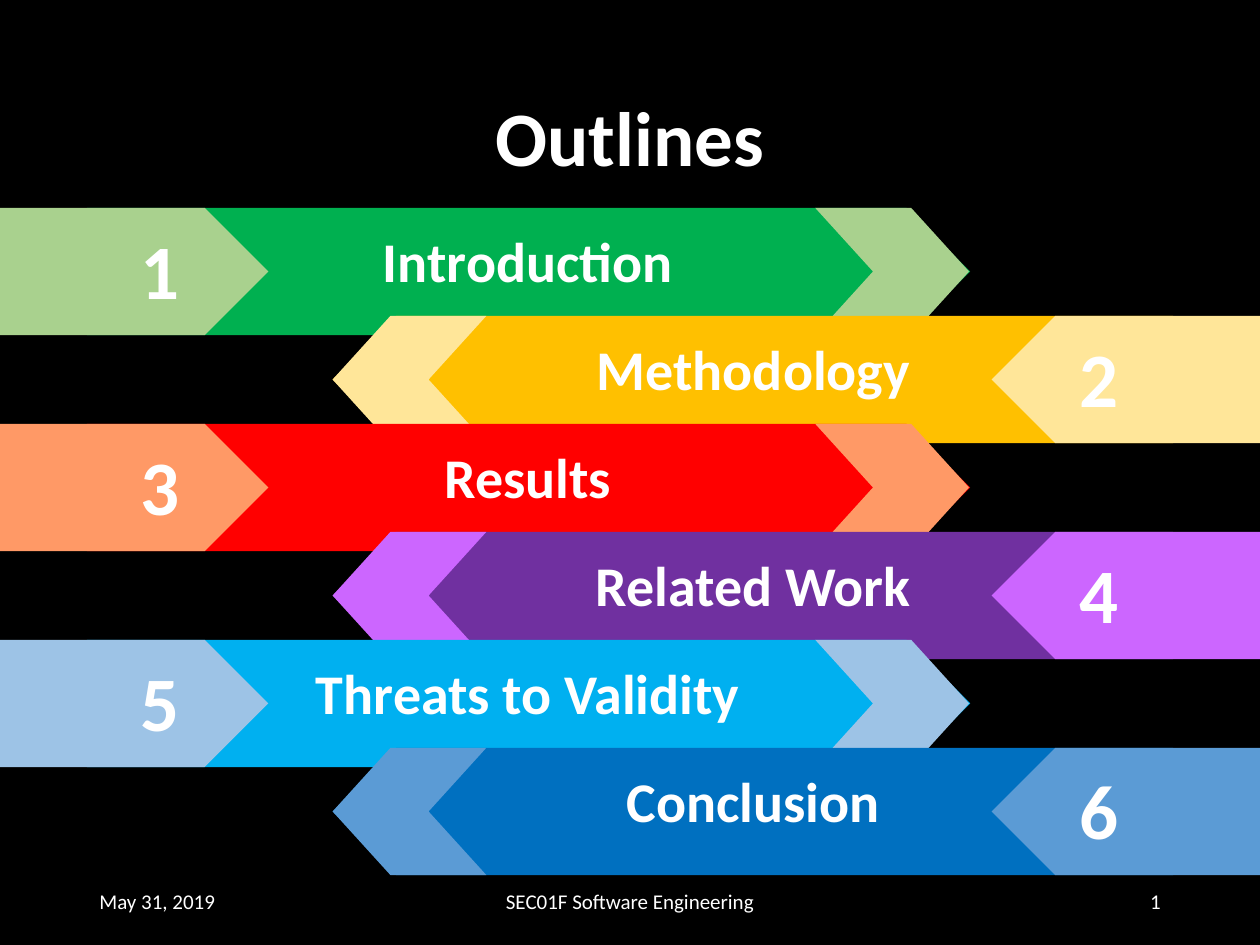
from dataclasses import dataclass

from pptx import Presentation
from pptx.dml.color import RGBColor
from pptx.enum.shapes import MSO_SHAPE
from pptx.enum.text import MSO_ANCHOR, MSO_AUTO_SIZE, PP_ALIGN
from pptx.util import Inches, Pt


@dataclass(frozen=True)
class Theme:
    font: str = "Calibri"
    background: str = "000000"
    text: str = "FFFFFF"
    heading: int = 44
    label: int = 32
    footer: int = 12


theme = Theme()

# Label, band colour, accent colour
sections = [
    ("Introduction", "00B050", "A9D18E"),
    ("Methodology", "FFC000", "FFE699"),
    ("Results", "FF0000", "FF9966"),
    ("Related Work", "7030A0", "CC66FF"),
    ("Threats to Validity", "00B0F0", "9DC3E6"),
    ("Conclusion", "0070C0", "5B9BD5"),
]
first_top, pitch, band_height = 1.65, 0.857, 1.01

presentation = Presentation()
presentation.slide_width = Inches(10)
presentation.slide_height = Inches(7.5)
slide = presentation.slides.add_slide(presentation.slide_layouts[5])
slide.background.fill.solid()
slide.background.fill.fore_color.rgb = RGBColor.from_string(theme.background)


def add_arrow(kind, left, top, width, color, points_left):
    shape = slide.shapes.add_shape(
        kind, Inches(left), Inches(top), Inches(width), Inches(band_height))
    shape.shadow.inherit = False
    shape.fill.solid()
    shape.fill.fore_color.rgb = RGBColor.from_string(color)
    shape.line.fill.background()
    shape.rotation = 180 if points_left else 0
    return shape


def write(shape, text, size, align, bold=True):
    """Put one formatted run in the shape's first paragraph and return the paragraph."""
    paragraph = shape.text_frame.paragraphs[0]
    paragraph.alignment = align
    run = paragraph.add_run()
    run.text = text
    run.font.name = theme.font
    run.font.size = Pt(size)
    run.font.bold = bold
    run.font.color.rgb = RGBColor.from_string(theme.text)
    return paragraph


title = slide.shapes.title
title.left, title.top = Inches(0.69), Inches(0.4)
title.width, title.height = Inches(8.62), Inches(1.45)
title.text_frame.vertical_anchor = MSO_ANCHOR.MIDDLE
write(title, "Outlines", theme.heading, PP_ALIGN.CENTER).line_spacing = 0.9

# Odd sections enter from the left edge, even ones from the right;
# each band overlaps the one above it.
for index, (label, band_color, accent_color) in enumerate(sections):
    top = first_top + index * pitch
    from_right = index % 2 == 1
    if from_right:
        band_left, band_width, chevron_left, plate_left = 2.64, 6.67, 2.64, 7.87
        label_left, number_left = 3.74, 8.47
    else:
        band_left, band_width, chevron_left, plate_left = 0.69, 7.01, 6.47, 0
        label_left, number_left = 1.95, 1.02

    add_arrow(MSO_SHAPE.PENTAGON, band_left, top, band_width, band_color, from_right)
    chevron = add_arrow(MSO_SHAPE.CHEVRON, chevron_left, top, 1.22, accent_color, from_right)
    chevron.adjustments[0] = 0.454
    add_arrow(MSO_SHAPE.PENTAGON, plate_left, top, 2.13, accent_color, from_right)

    label_box = slide.shapes.add_textbox(
        Inches(label_left), Inches(top + 0.1), Inches(4.48), Inches(0.64))
    label_box.text_frame.word_wrap = True
    label_box.text_frame.auto_size = MSO_AUTO_SIZE.SHAPE_TO_FIT_TEXT
    write(label_box, label, theme.label, PP_ALIGN.CENTER)

    number_box = slide.shapes.add_textbox(
        Inches(number_left), Inches(top + 0.07), Inches(0.51), Inches(0.84))
    number_box.text_frame.word_wrap = False
    number_box.text_frame.auto_size = MSO_AUTO_SIZE.SHAPE_TO_FIT_TEXT
    write(number_box, str(index + 1), theme.heading, PP_ALIGN.LEFT)

footers = [
    ("May 31, 2019", 0.69, 2.25, PP_ALIGN.LEFT),
    ("SEC01F Software Engineering", 3.31, 3.38, PP_ALIGN.CENTER),
    ("1", 7.06, 2.25, PP_ALIGN.RIGHT),
]
for text, left, width, align in footers:
    footer = slide.shapes.add_textbox(Inches(left), Inches(6.95), Inches(width), Inches(0.4))
    footer.text_frame.word_wrap = True
    footer.text_frame.vertical_anchor = MSO_ANCHOR.MIDDLE
    write(footer, text, theme.footer, align, bold=False)

presentation.save("out.pptx")
